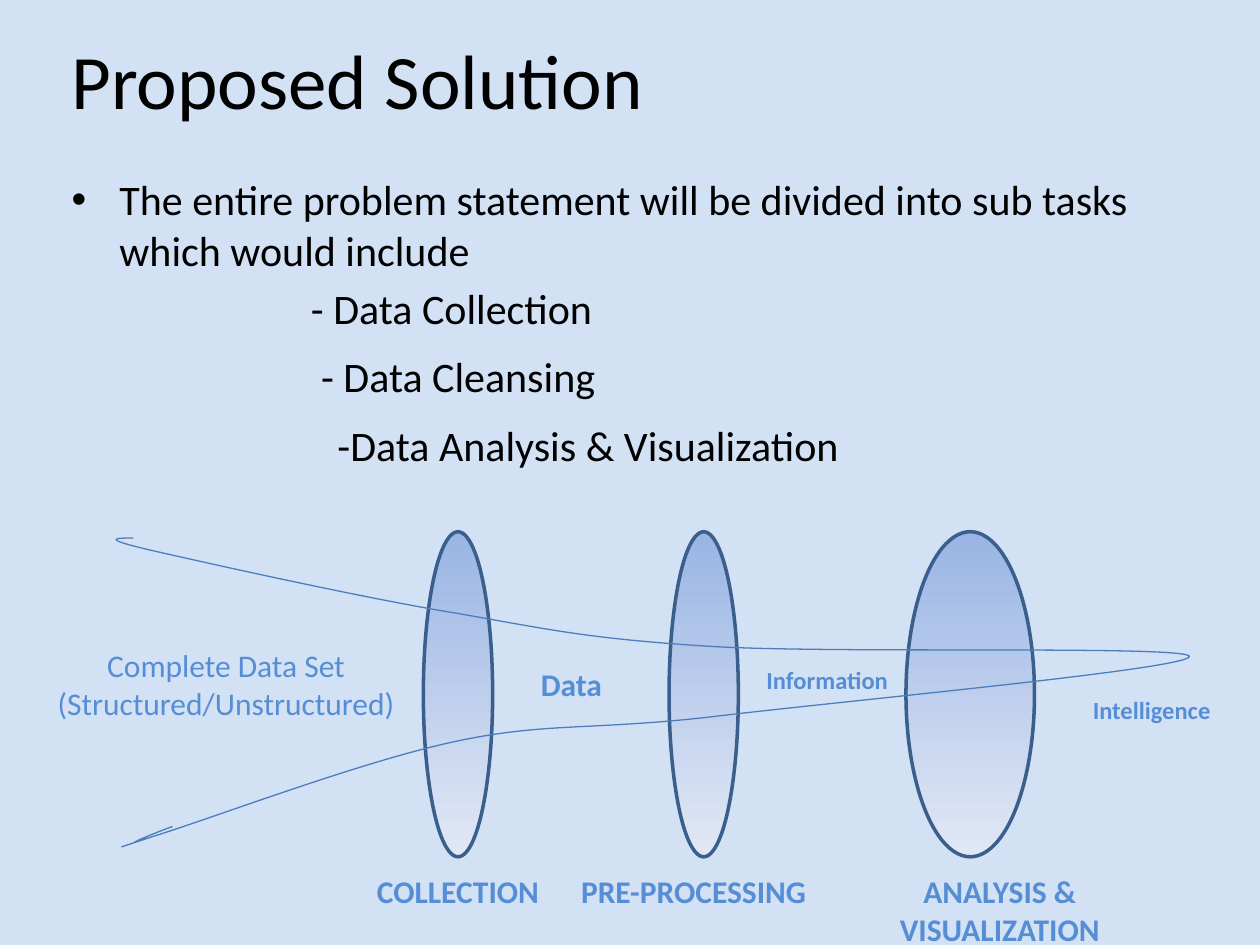
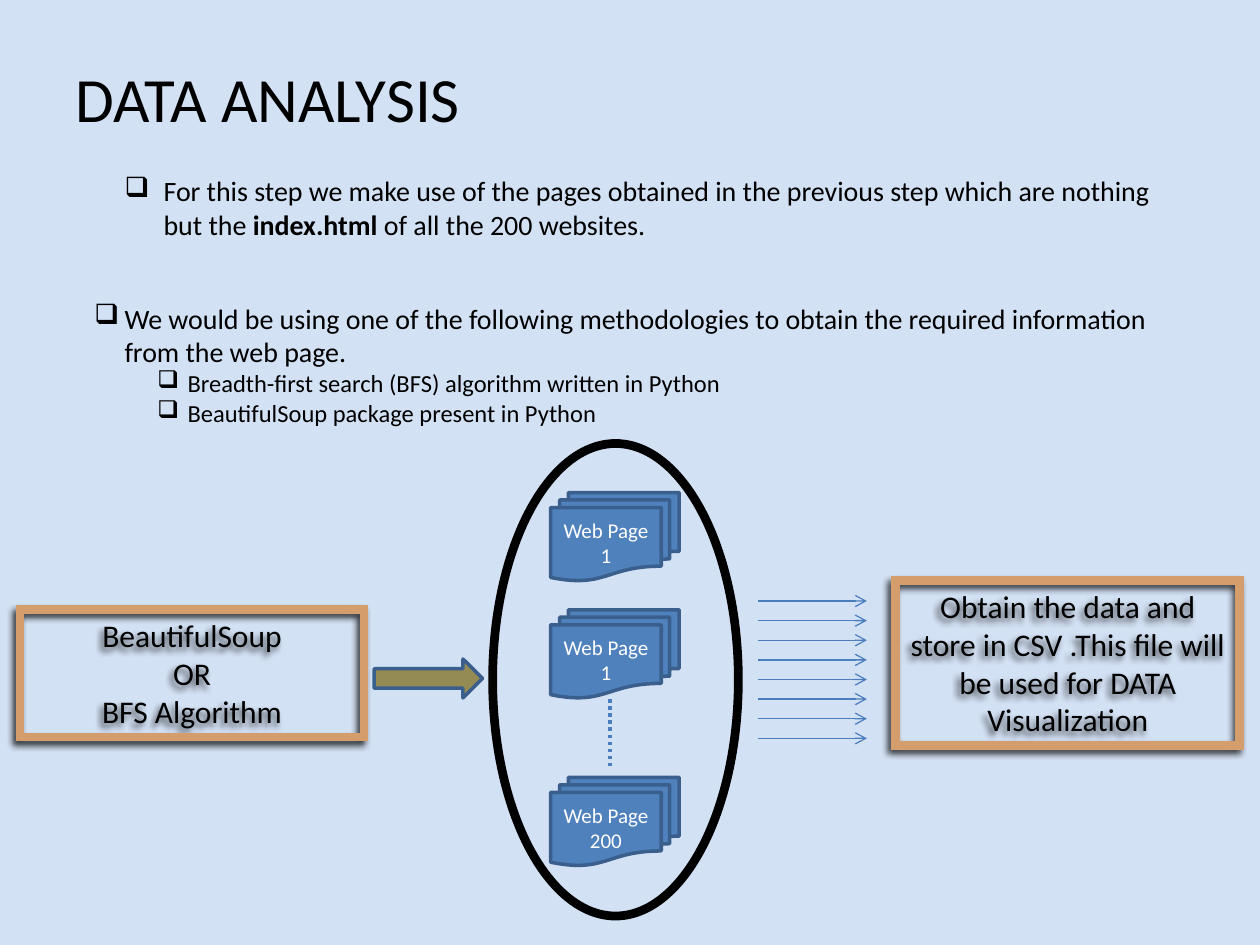
import pptx
import pptx.util
import pptx.dml.color
import pptx.enum.dml
import pptx.enum.shapes
import pptx.enum.text
import pptx.oxml
import pptx.oxml.ns
import lxml.etree

# Shared look
C = {"back": "D3E1F4", "ink": "000000", "label": "558ED5", "curve": "4B7EBC",
     "edge": "3A5F8C", "page": "4F81BD", "lens_top": "9AB5E4", "lens_end": "E1E8F5",
     "frame": "D49E6C", "arrow": "948A54", "white": "FFFFFF"}
FONT = "Calibri"
BOX = "\u2751"
SHAPE = pptx.enum.shapes.MSO_SHAPE
ALIGN = pptx.enum.text.PP_ALIGN
ANCHOR = pptx.enum.text.MSO_ANCHOR
IN, PT, QN = pptx.util.Inches, pptx.util.Pt, pptx.oxml.ns.qn

# Slide 1 content
INTRO = "The entire problem statement will be divided into sub tasks which would include"
TASKS = [("- Data Collection", 1.87, 3.13, 0.5), ("- Data Cleansing", 1.95, 3.05, 0.5),
         ("-Data Analysis & Visualization", 2.58, 4.22, 0)]  # text, left, width, indent
TASK_TOP, TASK_STEP = 2.19, 0.545
LENSES = [(3.36, 0.55), (5.31, 0.55), (7.19, 1.02)]          # left, width
STAGES = [("COLLECTION", 2.5, 0.4), ("PRE-PROCESSING", 4.37, 0.4),
          ("ANALYSIS & VISUALIZATION", 6.8, 0.71)]           # text, left, height
FLOW = [("Complete Data Set (Structured/Unstructured)", (0.23, 5.08, 3.13, 0.71), 18, False),
        ("Data", (3.91, 5.23, 1.25, 0.4), 18, True),
        ("Information", (5.94, 5.23, 1.25, 0.34), 14, True),
        ("Intelligence", (8.28, 5.47, 1.72, 0.34), 14, True)]
FUNNEL_START = (1.06, 4.27)
FUNNEL = [  # two control points and an end point for each Bezier piece
    (0.92, 4.27), (0.78, 4.27), (1.21, 4.37), (1.65, 4.47), (2.9, 4.75), (3.64, 4.87),
    (4.38, 5), (4.68, 5.07), (5.64, 5.13), (6.61, 5.19), (9.44, 5.12), (9.44, 5.21),
    (9.44, 5.31), (6.62, 5.57), (5.64, 5.69), (4.67, 5.8), (4.32, 5.73), (3.59, 5.89),
    (2.85, 6.05), (1.64, 6.51), (1.21, 6.64), (0.79, 6.78), (1.03, 6.7), (1.06, 6.69),
    (1.08, 6.67), (1.31, 6.58), (1.37, 6.56)]

# Slide 2 content
PAGES_USED = [("For this step we make use of the pages obtained in the previous step "
               "which are nothing but the ", False), ("index.html", True),
              (" of all the 200 websites.", False)]
METHOD = ("We would be using one of the following methodologies to obtain the required "
          "information from the web page.")
METHODS = ["Breadth-first search\u00a0(BFS) algorithm written in Python",
           "BeautifulSoup package present in Python"]
PAGES = [("Web Page 1", 3.91), ("Web Page 1", 4.84), ("Web Page 200", 6.17)]
FRAMES = [(["BeautifulSoup", "OR", "BFS Algorithm"], (0.16, 4.84, 2.73, 1.01)),
          (["Obtain the data and store in CSV .This file will be used for DATA Visualization"],
           (7.11, 4.61, 2.73, 1.31))]
OUTPUTS, OUT_TOP, OUT_END = 8, 4.77, 5.86


def rgb(name):
    return pptx.dml.color.RGBColor.from_string(C[name])


def add_xml(parent, tag, **attributes):
    return lxml.etree.SubElement(parent, QN(tag), attributes)


def add_text(tf, text, size=18, color="ink", bold=False, align=ALIGN.LEFT,
             level=0, indent=0, hang=0, bullet=None, before=0):
    """Add one paragraph; text is a string or a list of (text, bold) runs."""
    p = tf.paragraphs[0] if not tf.paragraphs[0].runs else tf.add_paragraph()
    p.alignment, p.level = align, level
    p.space_before = PT(before)
    pPr = p._p.get_or_add_pPr()
    pPr.set("marL", str(IN(indent)))
    pPr.set("indent", str(-IN(hang)))
    if bullet:
        add_xml(pPr, "a:buFont", typeface="Arial" if bullet != BOX else "Wingdings")
        add_xml(pPr, "a:buChar", char=bullet if bullet != BOX else "q")
    for words, strong in [(text, bold)] if isinstance(text, str) else text:
        r = p.add_run()
        r.text = words
        r.font.name, r.font.size, r.font.bold = FONT, PT(size), strong
        r.font.color.rgb = rgb(color)


def text_box(s, at, anchor=ANCHOR.TOP):
    tf = s.shapes.add_textbox(*map(IN, at)).text_frame
    tf.word_wrap = True
    tf.vertical_anchor = anchor
    return tf


def style(sp, line, width, fill=None):
    sp.shadow.inherit = False
    sp.line.color.rgb = rgb(line)
    sp.line.width = PT(width)
    if fill:
        sp.fill.solid()
        sp.fill.fore_color.rgb = rgb(fill)
    else:
        sp.fill.background()
    return sp


def add_shape(s, kind, at, line, width, fill=None):
    return style(s.shapes.add_shape(kind, *map(IN, at)), line, width, fill)


def add_line(s, x1, y1, x2, y2, width):
    ln = s.shapes.add_connector(pptx.enum.shapes.MSO_CONNECTOR.STRAIGHT,
                                *map(IN, (x1, y1, x2, y2)))
    ln.line.color.rgb = rgb("curve")
    ln.line.width = PT(width)
    add_xml(ln._element.spPr, "a:effectLst")
    return ln


def outline(sp):
    return sp._element.spPr.find(QN("a:ln"))


def drop_shadow(sp):
    effects = sp._element.spPr.find(QN("a:effectLst"))
    shadow = add_xml(effects, "a:outerShdw", blurRad=str(PT(4)), dist=str(PT(3)),
                     dir=str(135 * 60000), rotWithShape="0")
    add_xml(add_xml(shadow, "a:srgbClr", val=C["ink"]), "a:alpha", val="73000")


def add_curve(s, start, points):
    """Draw a freeform and turn each three straight steps into one Bezier piece."""
    builder = s.shapes.build_freeform(*map(IN, start), scale=1.0)
    builder.add_line_segments([tuple(map(IN, pt)) for pt in points], close=False)
    sp = builder.convert_to_shape()
    steps = list(sp._element.iter(QN("a:lnTo")))
    outline_path = steps[0].getparent()
    for i in range(0, len(steps), 3):
        curve = add_xml(outline_path, "a:cubicBezTo")
        for step in steps[i:i + 3]:
            curve.append(step[0])
            outline_path.remove(step)
    return sp


def new_slide(prs, title, at, size):
    s = prs.slides.add_slide(prs.slide_layouts[6])
    s.background.fill.solid()
    s.background.fill.fore_color.rgb = rgb("back")
    add_text(text_box(s, at, ANCHOR.MIDDLE), title, size=size)
    return s


prs = pptx.Presentation()
prs.slide_width, prs.slide_height = IN(10), IN(7.5)

# Slide 1: lenses that narrow the data
s = new_slide(prs, "Proposed Solution", (0.47, 0, 9, 1.25), 44)
add_text(text_box(s, (0.47, 1.33, 9, 0.86)), INTRO, size=24,
         indent=0.38, hang=0.38, bullet="\u2022", before=4.8)
for left, width in LENSES:
    sp = add_shape(s, SHAPE.OVAL, (left, 4.22, width, 2.58), "edge", 2)
    sp.fill.gradient()
    sp.fill.gradient_angle = 270
    for stop, name in zip(sp.fill.gradient_stops, ("lens_top", "lens_end")):
        stop.color.rgb = rgb(name)
style(add_curve(s, FUNNEL_START, FUNNEL), "curve", 0.75)

labels = FLOW + [(text, (left, 6.87, 2.27, height), 18, True) for text, left, height in STAGES]
for text, at, size, bold in labels:
    add_text(text_box(s, at), text, size=size, color="label", bold=bold, align=ALIGN.CENTER)
for i, (text, left, width, indent) in enumerate(TASKS):
    add_text(text_box(s, (left, TASK_TOP + i * TASK_STEP, width, 0.81)), text,
             size=24, level=1, indent=indent)

# Slide 2: from web pages to a data file
s = new_slide(prs, "DATA ANALYSIS", (0.5, 0.3, 9, 0.95), 36)
add_text(text_box(s, (0.39, 1.33, 8.91, 0.7)), PAGES_USED, size=16, level=1,
         indent=0.81, hang=0.31, bullet=BOX, before=3.2)
for text, top in PAGES:
    sp = add_shape(s, SHAPE.FLOWCHART_MULTIDOCUMENT, (4.37, top, 1.02, 0.7), "edge", 2, "page")
    sp.text_frame.word_wrap = True
    sp.text_frame.vertical_anchor = ANCHOR.MIDDLE
    add_text(sp.text_frame, text, size=12, color="white", align=ALIGN.CENTER)
dots = add_line(s, 4.84, 5.55, 4.84, 6.09, 2)
dots.line.dash_style = pptx.enum.dml.MSO_LINE.ROUND_DOT

tf = text_box(s, (0.39, 2.34, 9, 1.41))
add_text(tf, METHOD, size=16, level=1, indent=0.5, hang=0.24, bullet=BOX)
for text in METHODS:
    add_text(tf, text, size=14, level=2, indent=1, hang=0.24, bullet=BOX)

add_shape(s, SHAPE.OVAL, (3.91, 3.52, 1.95, 3.75), "ink", 5)
add_shape(s, SHAPE.RIGHT_ARROW, (2.97, 5.23, 0.86, 0.31), "edge", 2, "arrow")
for lines, at in FRAMES:
    sp = add_shape(s, SHAPE.RECTANGLE, at, "frame", 5)
    add_xml(outline(sp), "a:miter", lim="800000")
    drop_shadow(sp)
    sp.text_frame.word_wrap = True
    sp.text_frame.vertical_anchor = ANCHOR.TOP
    for text in lines:
        add_text(sp.text_frame, text, align=ALIGN.CENTER)

# Output arrows at equal gaps
for i in range(OUTPUTS):
    y = OUT_TOP + i * (OUT_END - OUT_TOP) / (OUTPUTS - 1)
    ln = add_line(s, 6.02, y, 6.88, y, 0.75)
    add_xml(outline(ln), "a:tailEnd", type="arrow")

prs.save("out.pptx")
